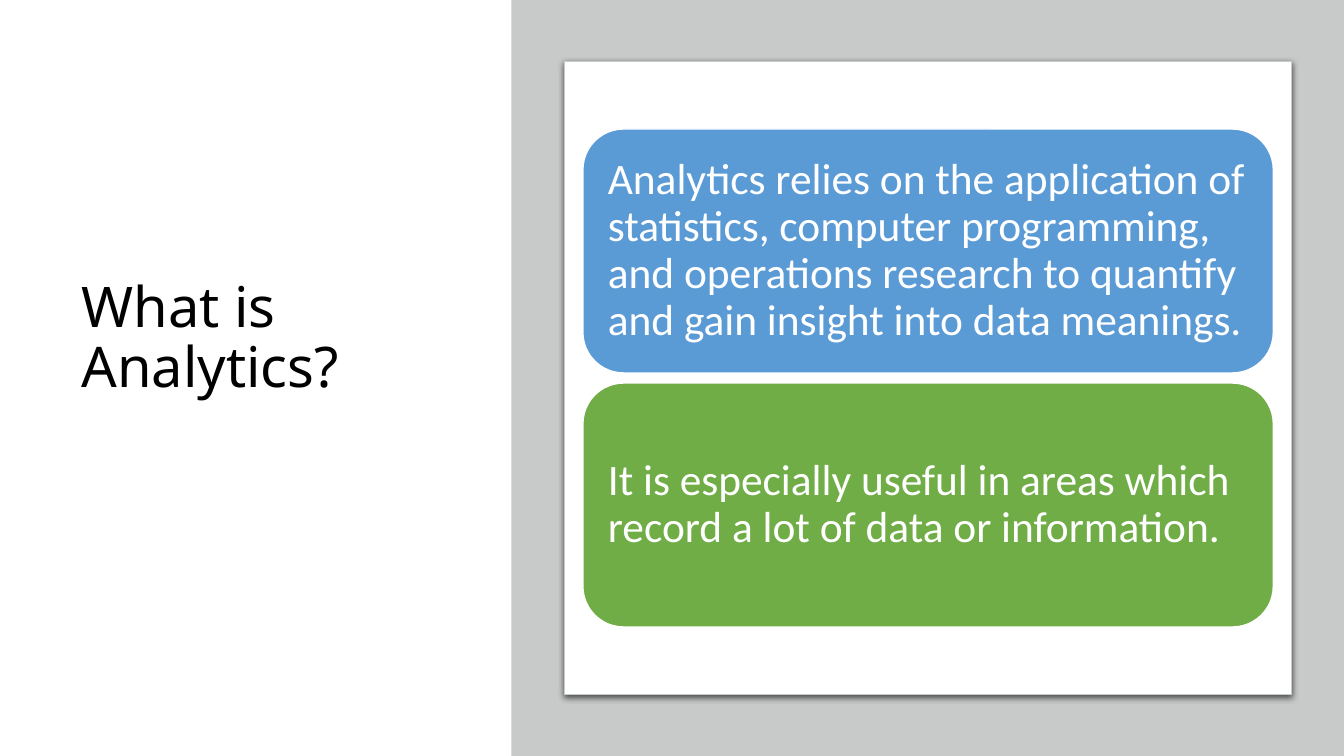
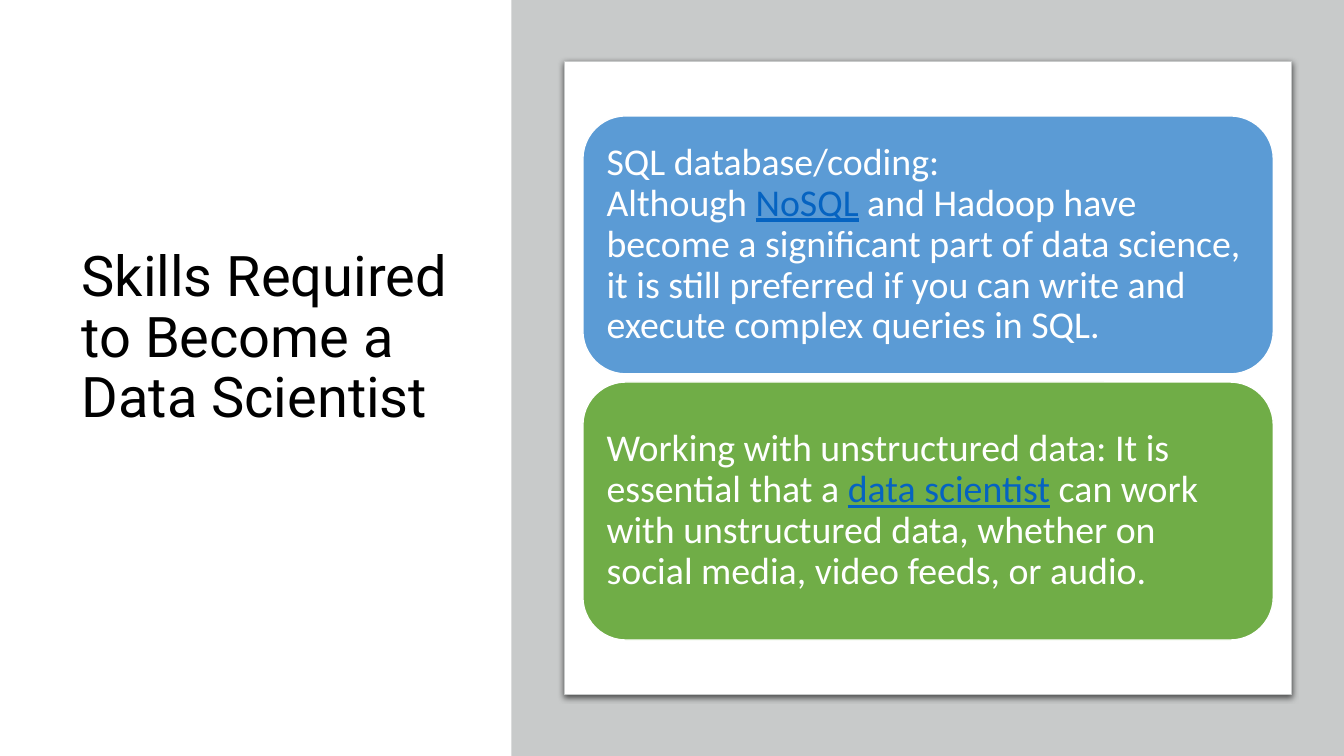
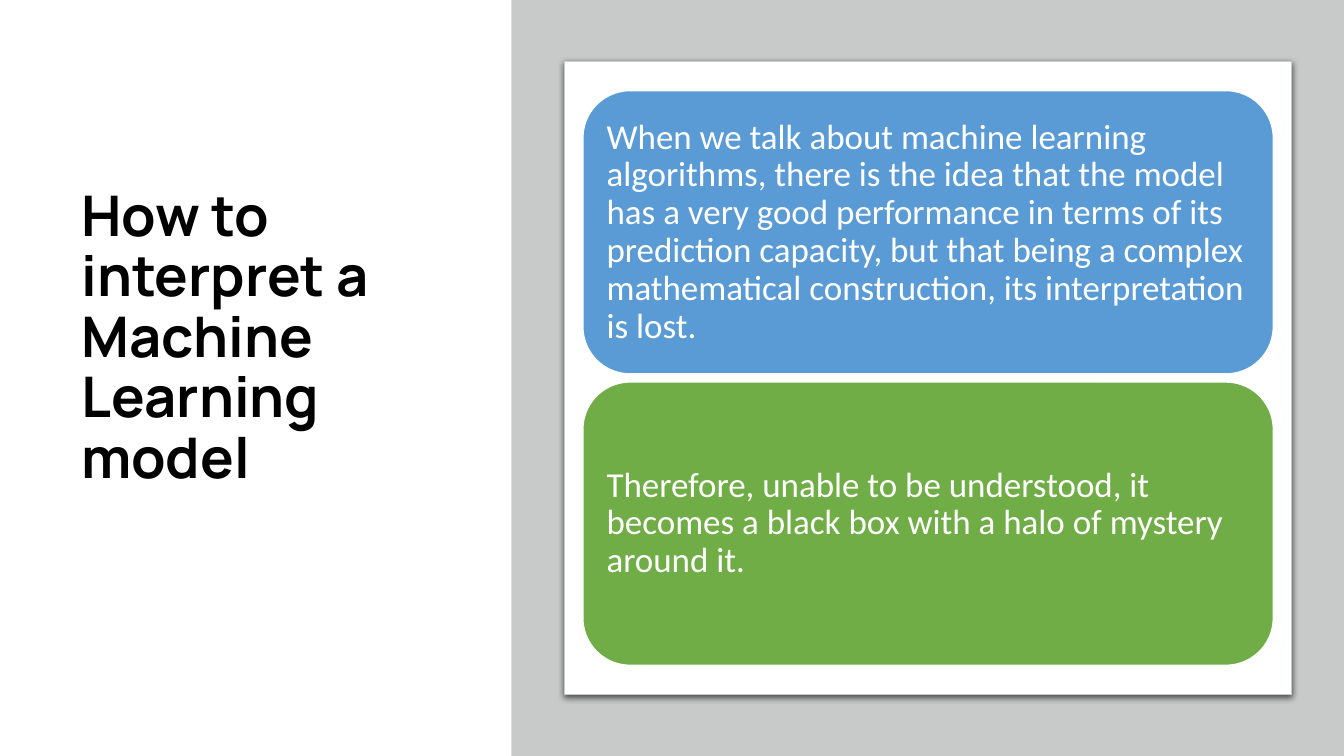
from dataclasses import dataclass

from lxml import etree
from pptx import Presentation
from pptx.dml.color import RGBColor
from pptx.enum.shapes import MSO_SHAPE
from pptx.enum.text import MSO_ANCHOR, PP_ALIGN
from pptx.oxml.ns import qn
from pptx.util import Inches, Pt

RECTANGLE = MSO_SHAPE.RECTANGLE
ROUNDED = MSO_SHAPE.ROUNDED_RECTANGLE
MIDDLE = MSO_ANCHOR.MIDDLE
LEFT = PP_ALIGN.LEFT

# Shared look
SLIDE_WIDTH, SLIDE_HEIGHT = Inches(13.33), Inches(7.5)
BLACK, WHITE, GREY, LINK = "000000", "FFFFFF", "C8CACA", "0563C1"
CARD_COLOURS = ("5B9BD5", "70AD47")
BODY_FONT = "Calibri"
TITLE_SIZE = 40
LINE_SPACING = 0.9
TITLE_INSETS = (0.1, 0.05, 0.1, 0.72)
NO_BREAK_SPACE = chr(160)


@dataclass(frozen=True)
class Area:
    """A rectangle in percent of the slide's width and height."""
    left: float
    top: float
    width: float
    height: float

    def lengths(self) -> tuple[int, int, int, int]:
        return (int(SLIDE_WIDTH * self.left / 100), int(SLIDE_HEIGHT * self.top / 100),
                int(SLIDE_WIDTH * self.width / 100), int(SLIDE_HEIGHT * self.height / 100))


TITLE_AREA = Area(5.33, 9.2, 30.08, 80.27)
BAND_AREA = Area(38.04, 0, 61.96, 100)
PANEL_AREA = Area(42, 8.13, 54.09, 83.73)
CARD_LEFT, CARD_WIDTH = 43.37, 51.37


@dataclass(frozen=True)
class Span:
    text: str
    linked: bool = False


@dataclass(frozen=True)
class Page:
    title: str
    title_font: str
    title_bold: bool
    text_size: int
    inset: float
    card_height: float
    gap: float
    cards: tuple[tuple[Span, ...], ...]


PAGES = (
    Page("What is Analytics?", "Noto Sans", False, 31, 0.13, 32.27, 1.33, (
        (Span("Analytics relies on the application of statistics, computer programming, "
              "and operations research to quantify and gain insight into data meanings."),),
        (Span("It is especially useful in areas which record a lot of data or information."),),
    )),
    Page("Skills Required to Become a Data Scientist", "Roboto", False, 27, 0.11, 34.13, 1.07, (
        (Span("SQL database/coding: Although" + NO_BREAK_SPACE), Span("NoSQL", True),
         Span(NO_BREAK_SPACE + "and Hadoop have become a significant part of data science, "
              "it is still preferred if you can write and execute complex queries in SQL.")),
        (Span("Working with unstructured data: It is essential that a" + NO_BREAK_SPACE),
         Span("data scientist", True),
         Span(NO_BREAK_SPACE + "can work with unstructured data, whether on social media, "
              "video feeds, or audio.")),
    )),
    Page("How to interpret a Machine Learning model", "Manrope", True, 25, 0.1, 37.47, 1.07, (
        (Span("When we talk about machine learning algorithms, there is the idea that the "
              "model has a very good performance in terms of its prediction capacity, but "
              "that being a complex mathematical construction, its interpretation is lost."),),
        (Span("Therefore, unable to be understood, it becomes a black box with a halo of "
              "mystery around it."),),
    )),
)


def colour(value: str) -> RGBColor:
    return RGBColor.from_string(value)


def add_box(slide, kind, area: Area, fill: str, line: str = "", line_width: float = 1):
    box = slide.shapes.add_shape(kind, *area.lengths())
    box.shadow.inherit = False
    box.fill.solid()
    box.fill.fore_color.rgb = colour(fill)
    if line:
        box.line.color.rgb = colour(line)
        box.line.width = Pt(line_width)
    else:
        box.line.fill.background()
    return box


def add_drop_shadow(box) -> None:
    effects = box.element.spPr.find(qn("a:effectLst"))
    shadow = etree.SubElement(effects, qn("a:outerShdw"), blurRad=str(Pt(4.5)),
                              dist=str(Pt(1.5)), dir="5400000", algn="ctr", rotWithShape="0")
    tint = etree.SubElement(shadow, qn("a:srgbClr"), val=BLACK)
    etree.SubElement(tint, qn("a:alpha"), val="63000")


def write_text(box, spans: tuple[Span, ...], font: str, size: int, text_colour: str,
               insets: tuple[float, float, float, float], bold: bool = False) -> None:
    frame = box.text_frame
    frame.word_wrap = True
    frame.vertical_anchor = MIDDLE
    (frame.margin_left, frame.margin_top,
     frame.margin_right, frame.margin_bottom) = (Inches(inset) for inset in insets)
    para = frame.paragraphs[0]
    para.alignment = LEFT
    para.line_spacing = LINE_SPACING
    for span in spans:
        run = para.add_run()
        run.text = span.text
        run.font.name = font
        run.font.size = Pt(size)
        run.font.bold = bold
        run.font.underline = span.linked
        run.font.color.rgb = colour(LINK if span.linked else text_colour)


def draw_page(deck, page: Page) -> None:
    slide = deck.slides.add_slide(deck.slide_layouts[6])

    # Title, raised by its deeper bottom inset
    title = slide.shapes.add_textbox(*TITLE_AREA.lengths())
    write_text(title, (Span(page.title),), page.title_font, TITLE_SIZE, BLACK,
               TITLE_INSETS, page.title_bold)

    # Grey band and white panel
    add_box(slide, RECTANGLE, BAND_AREA, GREY)
    panel = add_box(slide, ROUNDED, PANEL_AREA, WHITE, GREY, 0.75)
    panel.adjustments[0] = 0
    add_drop_shadow(panel)

    # Cards, stacked around the middle of the slide
    count = len(page.cards)
    first_top = 50 - (count * page.card_height + (count - 1) * page.gap) / 2
    for row, (spans, fill) in enumerate(zip(page.cards, CARD_COLOURS)):
        top = first_top + row * (page.card_height + page.gap)
        card = add_box(slide, ROUNDED, Area(CARD_LEFT, top, CARD_WIDTH, page.card_height),
                       fill, WHITE)
        write_text(card, spans, BODY_FONT, page.text_size, WHITE, (page.inset,) * 4)


def main() -> None:
    deck = Presentation()
    deck.slide_width, deck.slide_height = SLIDE_WIDTH, SLIDE_HEIGHT
    for page in PAGES:
        draw_page(deck, page)
    deck.save("out.pptx")


if __name__ == "__main__":
    main()
